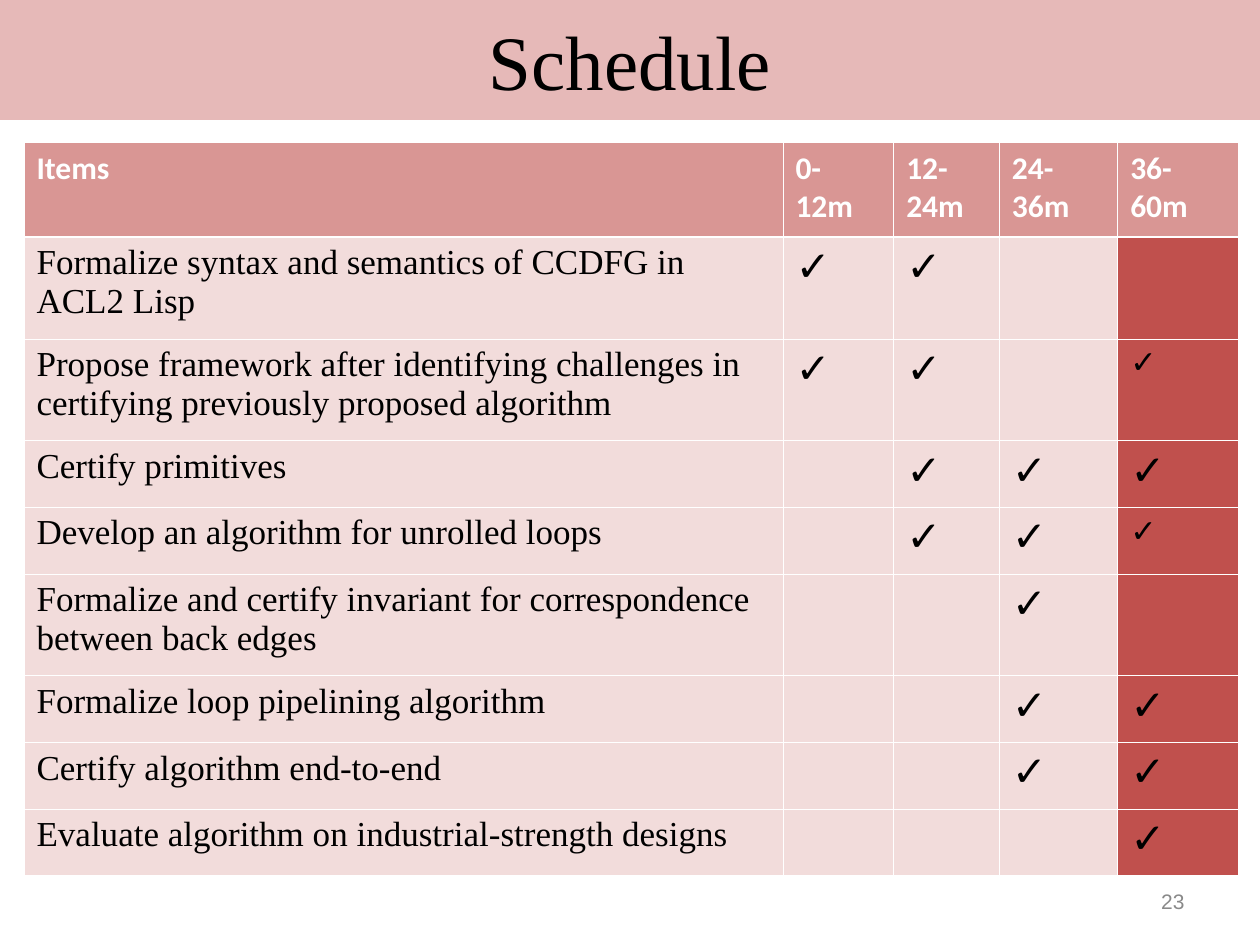
from dataclasses import dataclass

from lxml import etree
from pptx import Presentation
from pptx.dml.color import RGBColor
from pptx.enum.text import MSO_ANCHOR, PP_ALIGN
from pptx.oxml.ns import qn
from pptx.util import Inches, Pt

MIDDLE = MSO_ANCHOR.MIDDLE
CENTER, RIGHT = PP_ALIGN.CENTER, PP_ALIGN.RIGHT


@dataclass(frozen=True)
class Theme:
    band: str = "E6B9B8"
    header: str = "D99694"
    body: str = "F2DCDB"
    accent: str = "C0504D"
    white: str = "FFFFFF"
    black: str = "000000"
    grey: str = "898989"
    serif: str = "Times New Roman"
    sans: str = "Calibri"
    symbol: str = "Arial"
    title_size: float = 44
    header_size: float = 18
    item_size: float = 20
    check_size: float = 24
    small_check_size: float = 18
    number_size: float = 12
    rule: float = 0.45
    header_rule: float = 1.47


THEME = Theme()
WIDTH, HEIGHT = 10, 7.5
CHECK = "✓"
HEADERS = ["Items", "0-\n12m", "12-24m", "24-36m", "36-60m"]
COLUMNS = [6.03, 0.88, 0.84, 0.94, 0.96]
HEADER_ROW, TALL_ROW, SHORT_ROW = 0.75, 0.81, 0.53
# x: check, s: small check, -: empty
SCHEDULE = [
    ("Formalize syntax and semantics of CCDFG in ACL2 Lisp", "xx--", TALL_ROW),
    ("Propose framework after identifying challenges in certifying "
     "previously proposed algorithm", "xx-s", TALL_ROW),
    ("Certify primitives", "-xxx", SHORT_ROW),
    ("Develop an algorithm for unrolled loops", "-xxs", SHORT_ROW),
    ("Formalize and certify invariant for correspondence between back edges",
     "--x-", TALL_ROW),
    ("Formalize loop pipelining algorithm", "--xx", SHORT_ROW),
    ("Certify algorithm end-to-end", "--xx", SHORT_ROW),
    ("Evaluate algorithm on industrial-strength designs", "---x", SHORT_ROW),
]


def share(x, y, w, h):
    return [Inches(v) for v in (x * WIDTH, y * HEIGHT, w * WIDTH, h * HEIGHT)]


def write(tf, text, size, font, color, bold=False, align=None):
    tf.text = text
    for p in tf.paragraphs:
        p.alignment = align
        p.font.size = Pt(size)
        p.font.name = font
        p.font.bold = bold
        p.font.color.rgb = RGBColor.from_string(color)


def add_borders(cell, top, bottom):
    tc_pr = cell._tc.get_or_add_tcPr()
    widths = {"lnL": THEME.rule, "lnR": THEME.rule, "lnT": top, "lnB": bottom}
    for tag, width in widths.items():
        ln = etree.SubElement(tc_pr, qn(f"a:{tag}"), w=str(Pt(width)))
        fill = etree.SubElement(ln, qn("a:solidFill"))
        etree.SubElement(fill, qn("a:srgbClr"), val=THEME.white)


def style_cell(cell, row, color):
    add_borders(cell,
                THEME.header_rule if row == 1 else THEME.rule,
                THEME.header_rule if row == 0 else THEME.rule)
    cell.fill.solid()
    cell.fill.fore_color.rgb = RGBColor.from_string(color)
    cell.margin_left = cell.margin_right = Inches(0.1)


def add_title(s, box):
    sp = s.shapes.title
    sp.left, sp.top, sp.width, sp.height = box
    sp.fill.solid()
    sp.fill.fore_color.rgb = RGBColor.from_string(THEME.band)
    sp.text_frame.vertical_anchor = MIDDLE
    write(sp.text_frame, "Schedule", THEME.title_size, THEME.serif,
          THEME.black, align=CENTER)


def add_schedule(s, box):
    left, top, width, height = box
    table = s.shapes.add_table(len(SCHEDULE) + 1, len(HEADERS),
                               left, top, width, height).table
    for column, units in zip(table.columns, COLUMNS):
        column.width = int(width * units / sum(COLUMNS))
    heights = [HEADER_ROW] + [item[2] for item in SCHEDULE]
    for row, units in zip(table.rows, heights):
        row.height = int(height * units / sum(heights))

    for c, label in enumerate(HEADERS):
        cell = table.cell(0, c)
        style_cell(cell, 0, THEME.header)
        write(cell.text_frame, label, THEME.header_size, THEME.sans,
              THEME.white, bold=True)

    sizes = {"x": THEME.check_size, "s": THEME.small_check_size}
    last = len(HEADERS) - 1
    for r, (item, marks, _) in enumerate(SCHEDULE, 1):
        cell = table.cell(r, 0)
        style_cell(cell, r, THEME.body)
        write(cell.text_frame, item, THEME.item_size, THEME.serif, THEME.black)
        for c, mark in enumerate(marks, 1):
            cell = table.cell(r, c)
            style_cell(cell, r, THEME.accent if c == last else THEME.body)
            if mark in sizes:
                write(cell.text_frame, CHECK, sizes[mark], THEME.symbol,
                      THEME.black)


def add_number(s, box):
    tf = s.shapes.add_textbox(*box).text_frame
    tf.word_wrap = True
    tf.vertical_anchor = MIDDLE
    write(tf, "23", THEME.number_size, THEME.symbol, THEME.grey, align=RIGHT)


def main():
    prs = Presentation()
    prs.slide_width, prs.slide_height = Inches(WIDTH), Inches(HEIGHT)
    s = prs.slides.add_slide(prs.slide_layouts[5])
    add_title(s, share(0, 0, 1, 0.127))
    add_schedule(s, share(0.019, 0.151, 0.964, 0.776))
    add_number(s, share(0.717, 0.927, 0.233, 0.053))
    prs.save("out.pptx")


if __name__ == "__main__":
    main()
